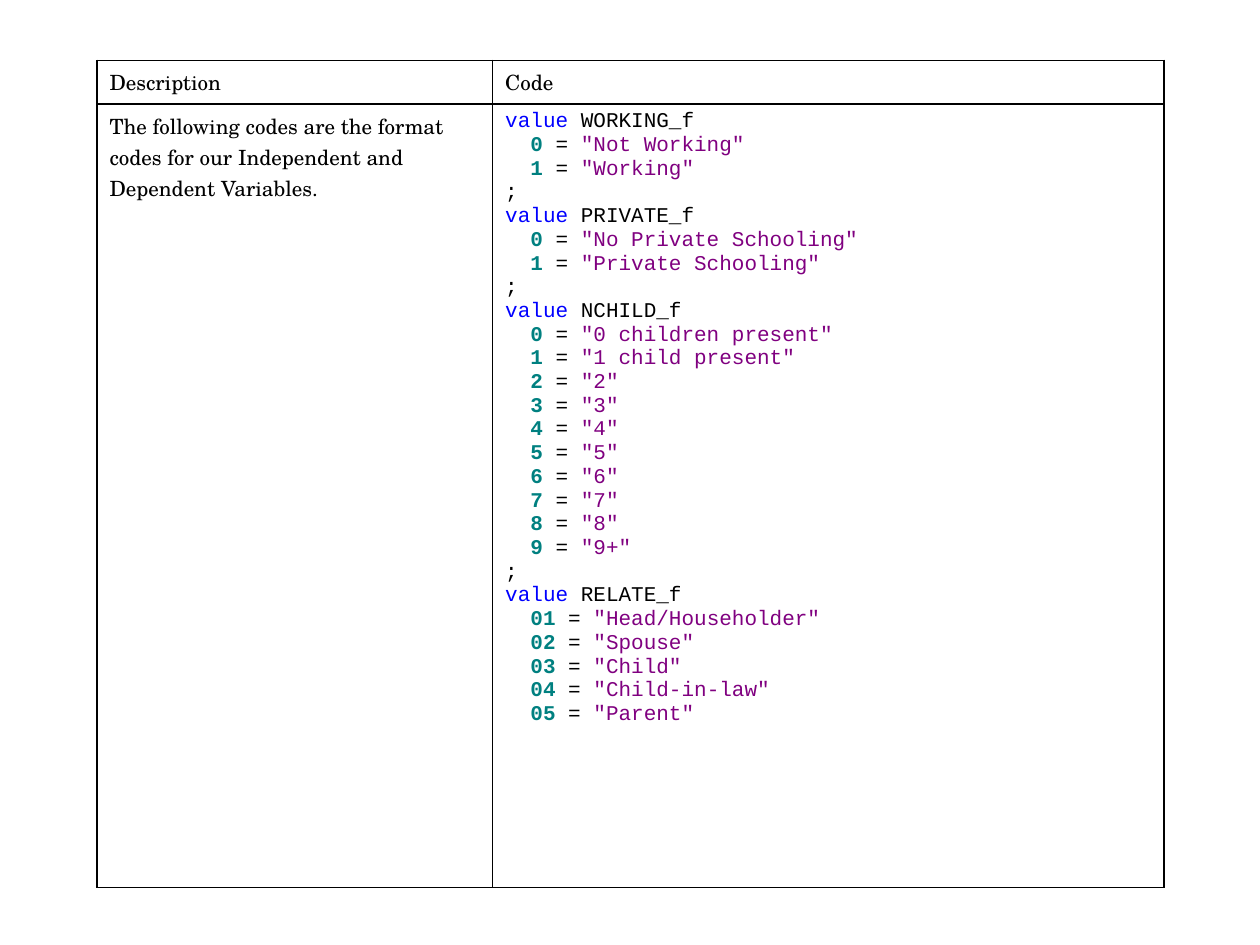
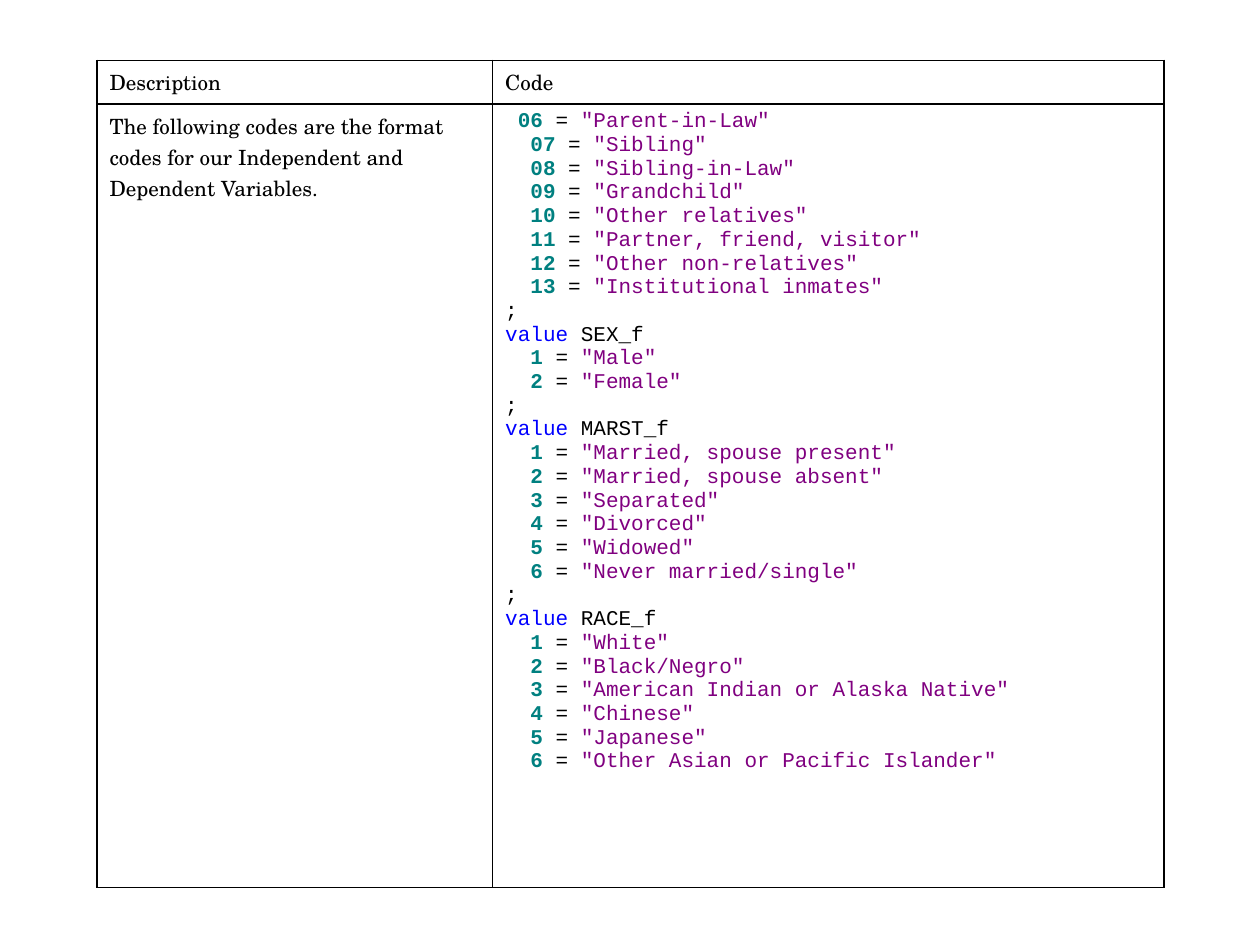
from lxml.etree import SubElement
from pptx import Presentation
from pptx.dml.color import RGBColor
from pptx.oxml.ns import qn
from pptx.util import Inches, Pt

COLORS = {
    "text": "000000",
    "border": "000000",
    "keyword": "0000FF",
    "number": "008080",
    "string": "800080",
}
SERIF, MONO = "TeX Gyre Schola", "Courier New"
BLANK_LAYOUT = 6

# Table texts
HEADINGS = ("Description", "Code")
DESCRIPTION = ("The following codes are the format codes for our "
               "Independent and Dependent Variables.")
FORMAT_CODES = ('''\
value WORKING_f
  0 = "Not Working"
  1 = "Working"
;
value PRIVATE_f
  0 = "No Private Schooling"
  1 = "Private Schooling"
;
value NCHILD_f
  0 = "0 children present"
  1 = "1 child present"
  2 = "2"
  3 = "3"
  4 = "4"
  5 = "5"
  6 = "6"
  7 = "7"
  8 = "8"
  9 = "9+"
;
value RELATE_f
  01 = "Head/Householder"
  02 = "Spouse"
  03 = "Child"
  04 = "Child-in-law"
  05 = "Parent"
''', '''\
 06 = "Parent-in-Law"
  07 = "Sibling"
  08 = "Sibling-in-Law"
  09 = "Grandchild"
  10 = "Other relatives"
  11 = "Partner, friend, visitor"
  12 = "Other non-relatives"
  13 = "Institutional inmates"
;
value SEX_f
  1 = "Male"
  2 = "Female"
;
value MARST_f
  1 = "Married, spouse present"
  2 = "Married, spouse absent"
  3 = "Separated"
  4 = "Divorced"
  5 = "Widowed"
  6 = "Never married/single"
;
value RACE_f
  1 = "White"
  2 = "Black/Negro"
  3 = "American Indian or Alaska Native"
  4 = "Chinese"
  5 = "Japanese"
  6 = "Other Asian or Pacific Islander"
''')


def code_tokens(line):
    """Split a line of code into (text, colour name) pairs."""
    if line.startswith("value "):
        return [("value ", "keyword"), (line.removeprefix("value "), "text")]
    number, equals, label = line.partition(" = ")
    if not equals:
        return [(line, "text")]
    digits = number.lstrip()
    indent = number[:-len(digits)]
    return [(indent, "text"), (digits, "number"),
            (equals, "text"), (label, "string")]


class CodeDeck:
    """Holds the style and the current slide."""

    def __init__(self):
        self.presentation = Presentation()
        self.presentation.slide_width = Inches(10)
        self.presentation.slide_height = Inches(7.5)
        self.slide = None

    def add_slide(self):
        layout = self.presentation.slide_layouts[BLANK_LAYOUT]
        self.slide = self.presentation.slides.add_slide(layout)

    def add_run(self, paragraph, text, font_name, color="text"):
        run = paragraph.add_run()
        run.text = text
        run.font.name = font_name
        run.font.size = Pt(12)
        run.font.bold = color == "number"
        run.font.color.rgb = RGBColor.from_string(COLORS[color])

    def add_code(self, cell, code):
        frame = cell.text_frame
        for index, line in enumerate(code.splitlines()):
            paragraph = frame.add_paragraph() if index else frame.paragraphs[0]
            for text, color in code_tokens(line):
                self.add_run(paragraph, text, MONO, color)

    def style_cell(self, cell):
        properties = cell._tc.get_or_add_tcPr()
        for side in ("a:lnL", "a:lnR", "a:lnT", "a:lnB"):
            line = SubElement(properties, qn(side), w=str(Pt(1)))
            fill = SubElement(line, qn("a:solidFill"))
            SubElement(fill, qn("a:srgbClr"), val=COLORS["border"])
        cell.fill.background()

    def add_table(self, column_widths, row_heights):
        table = self.slide.shapes.add_table(
            len(row_heights), len(column_widths), Inches(0.77), Inches(0.48),
            Inches(sum(column_widths)), Inches(sum(row_heights))).table
        table.first_row = table.horz_banding = False
        for column, width in zip(table.columns, column_widths):
            column.width = Inches(width)
        for row, height in zip(table.rows, row_heights):
            row.height = Inches(height)
        for cell in table.iter_cells():
            self.style_cell(cell)
        return table

    def add_code_slide(self, code):
        self.add_slide()
        table = self.add_table((3.14, 5.33), (0.31, 6.22))
        # Heading row and description
        for cell, text in zip(table.iter_cells(), (*HEADINGS, DESCRIPTION)):
            self.add_run(cell.text_frame.paragraphs[0], text, SERIF)
        # Format codes
        self.add_code(table.cell(1, 1), code)


def main():
    deck = CodeDeck()
    for code in FORMAT_CODES:
        deck.add_code_slide(code)
    deck.presentation.save("out.pptx")


if __name__ == "__main__":
    main()
